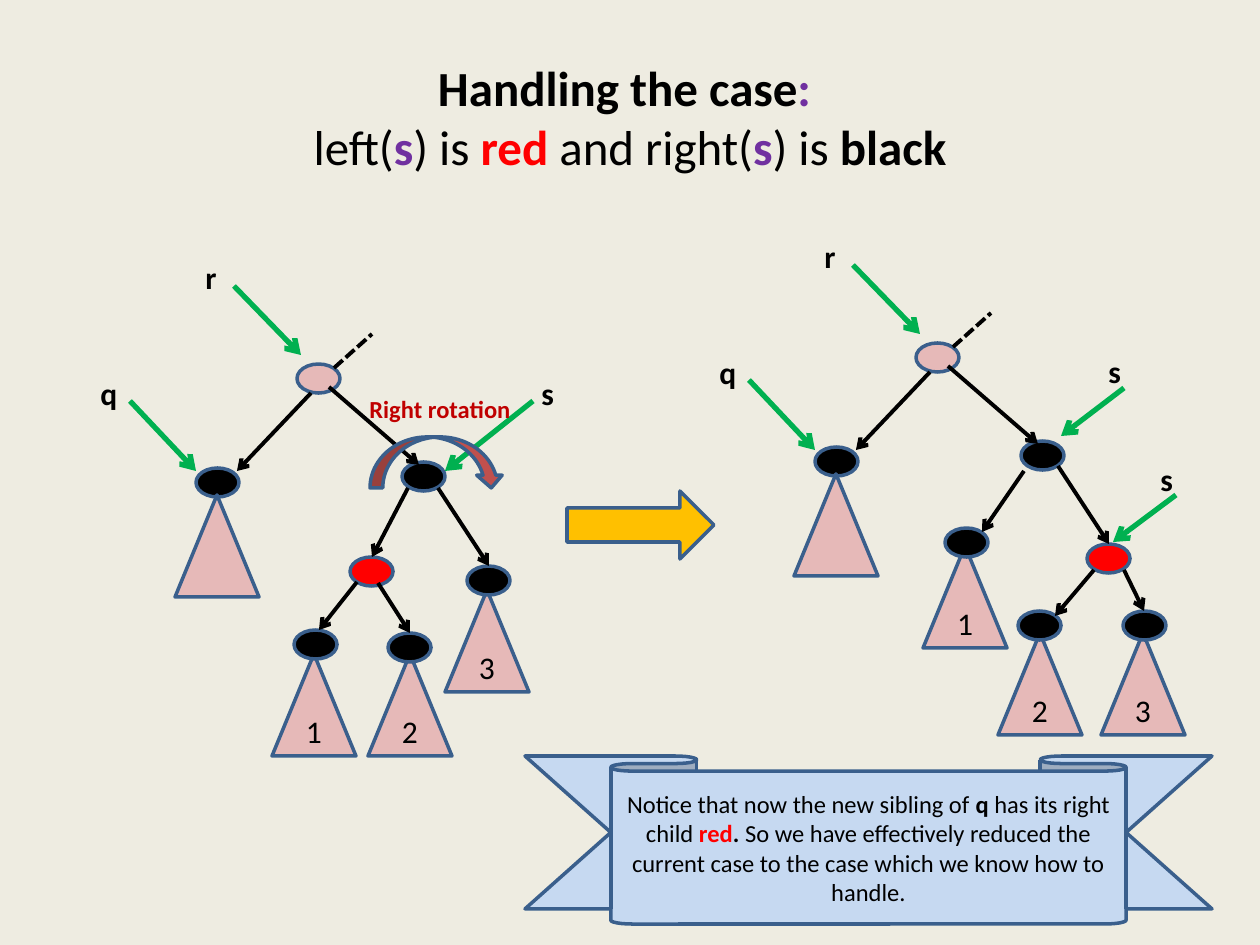
from typing import NamedTuple

from lxml.etree import SubElement
from pptx import Presentation
from pptx.dml.color import RGBColor
from pptx.enum.dml import MSO_LINE
from pptx.enum.shapes import MSO_CONNECTOR, MSO_SHAPE
from pptx.enum.text import MSO_ANCHOR, MSO_AUTO_SIZE, PP_ALIGN
from pptx.oxml.ns import qn
from pptx.util import Emu, Pt

PX_PER_INCH = 126
FONT = "Calibri"

BLACK = RGBColor(0x00, 0x00, 0x00)
RED = RGBColor(0xFF, 0x00, 0x00)
DARK_RED = RGBColor(0xC0, 0x00, 0x00)
BRICK = RGBColor(0xC0, 0x50, 0x4D)
PURPLE = RGBColor(0x70, 0x30, 0xA0)
GREEN = RGBColor(0x00, 0xB0, 0x50)
PINK = RGBColor(0xE6, 0xB9, 0xB8)
AMBER = RGBColor(0xFF, 0xC0, 0x00)
PALE_BLUE = RGBColor(0xC6, 0xD9, 0xF1)
OUTLINE = RGBColor(0x3A, 0x5F, 0x8C)
CREAM = RGBColor(0xEE, 0xEC, 0xE1)


class Node(NamedTuple):
    x: int
    y: int
    color: RGBColor = BLACK


class Subtree(NamedTuple):
    x: int
    y: int
    text: str = ""


class Edge(NamedTuple):
    x1: int
    y1: int
    x2: int
    y2: int


class Pointer(NamedTuple):
    text: str
    x: int
    y: int
    arrow: Edge


class Span(NamedTuple):
    text: str
    color: RGBColor = BLACK
    bold: bool = False


class Tree(NamedTuple):
    dx: int
    dy: int
    subtrees: list[Subtree]
    nodes: list[Node]
    edges: list[Edge]
    pointers: list[Pointer]


def px(n: int) -> Emu:
    return Emu(round(n * 914400 / PX_PER_INCH))


def add_spans(p, spans: list[Span], size: int) -> None:
    for span in spans:
        r = p.add_run()
        r.text = span.text
        r.font.name, r.font.size, r.font.bold = FONT, Pt(size), span.bold
        r.font.color.rgb = span.color


def add_shape(kind, x: int, y: int, w: int, h: int, fill: RGBColor,
              spans: list[Span] = (), size: int = 18):
    sp = slide.shapes.add_shape(kind, px(x), px(y), px(w), px(h))
    sp.shadow.inherit = False
    sp.fill.solid()
    sp.fill.fore_color.rgb = fill
    sp.line.color.rgb = OUTLINE
    sp.line.width = Pt(2)
    if spans:
        tf = sp.text_frame
        tf.word_wrap = True
        tf.vertical_anchor = MSO_ANCHOR.MIDDLE
        tf.paragraphs[0].alignment = PP_ALIGN.CENTER
        add_spans(tf.paragraphs[0], spans, size)
    return sp


def add_label(x: int, y: int, w: int, h: int, span: Span, size: int,
              wrap: bool = False) -> None:
    tf = slide.shapes.add_textbox(px(x), px(y), px(w), px(h)).text_frame
    tf.word_wrap = wrap
    add_spans(tf.paragraphs[0], [span], size)


def add_node(n: Node, dx: int = 0, dy: int = 0) -> None:
    add_shape(MSO_SHAPE.OVAL, n.x + dx, n.y + dy, 43, 29, n.color)


def add_subtree(t: Subtree, dx: int = 0, dy: int = 0) -> None:
    spans = [Span(t.text)] if t.text else []
    add_shape(MSO_SHAPE.ISOSCELES_TRIANGLE, t.x + dx, t.y + dy, 84, 102, PINK, spans)


def add_edge(e: Edge, dx: int = 0, dy: int = 0, color: RGBColor = BLACK,
             width: float = 2.25, dashed: bool = False) -> None:
    c = slide.shapes.add_connector(MSO_CONNECTOR.STRAIGHT, px(e.x1 + dx), px(e.y1 + dy),
                                   px(e.x2 + dx), px(e.y2 + dy))
    c.line.color.rgb = color
    c.line.width = Pt(width)
    if dashed:
        c.line.dash_style = MSO_LINE.SQUARE_DOT
    else:
        SubElement(c.line._get_or_add_ln(), qn("a:tailEnd"), type="arrow")
    SubElement(c._element.spPr, qn("a:effectLst"))


def add_pointer(ptr: Pointer, dx: int = 0, dy: int = 0) -> None:
    add_edge(ptr.arrow, dx, dy, GREEN, 3)
    add_label(ptr.x + dx, ptr.y + dy, 40, 50, Span(ptr.text, bold=True), 18)


# Upper part that both trees share
TOP_NODES = [Node(297, 364, PINK), Node(402, 462), Node(196, 468)]
TOP_EDGES = [Edge(311, 393, 237, 471), Edge(329, 387, 419, 465)]
TOP_POINTERS = [Pointer("q", 88, 368, Edge(130, 401, 196, 471)),
                Pointer("r", 193, 252, Edge(234, 286, 301, 355))]

BEFORE = Tree(
    0, 0,
    [Subtree(272, 654, "1"), Subtree(368, 654, "2"), Subtree(445, 590, "3")],
    [Node(350, 557, RED), Node(294, 630), Node(388, 633), Node(467, 566)],
    [Edge(408, 488, 372, 557), Edge(438, 488, 489, 566),
     Edge(357, 582, 319, 630), Edge(378, 583, 410, 633)],
    [Pointer("s", 529, 368, Edge(533, 401, 445, 471))])

AFTER = Tree(
    619, -21,
    [Subtree(923, 546, "1"), Subtree(998, 633, "2"), Subtree(1101, 633, "3")],
    [Node(1087, 544, RED), Node(945, 528), Node(1018, 611), Node(1123, 611)],
    [Edge(1024, 471, 982, 532), Edge(1058, 466, 1109, 544),
     Edge(1094, 570, 1055, 616), Edge(1124, 570, 1144, 611)],
    [Pointer("s", 1096, 346, Edge(1124, 388, 1061, 436)),
     Pointer("s", 1148, 454, Edge(1176, 495, 1113, 542))])


def draw_tree(tree: Tree) -> None:
    shift = tree.dx, tree.dy
    for n in TOP_NODES:
        add_node(n, *shift)
    add_subtree(Subtree(175, 495), *shift)
    add_edge(Edge(334, 368, 372, 334), *shift, dashed=True)
    for e in TOP_EDGES:
        add_edge(e, *shift)
    for ptr in TOP_POINTERS:
        add_pointer(ptr, *shift)
    for t in tree.subtrees:
        add_subtree(t)
    for n in tree.nodes:
        add_node(n)
    for e in tree.edges:
        add_edge(e)
    for ptr in tree.pointers:
        add_pointer(ptr)


prs = Presentation()
prs.slide_width, prs.slide_height = px(1260), px(945)
slide = prs.slides.add_slide(prs.slide_layouts[5])
slide.background.fill.solid()
slide.background.fill.fore_color.rgb = CREAM

# Title
title = slide.shapes.title
title.left, title.top, title.width, title.height = px(63), px(38), px(1134), px(157)
tf = title.text_frame
tf.auto_size = MSO_AUTO_SIZE.NONE
tf.vertical_anchor = MSO_ANCHOR.MIDDLE
p = tf.paragraphs[0]
p.alignment = PP_ALIGN.CENTER
add_spans(p, [Span("Handling the case", bold=True), Span(": ", PURPLE, True)], 28)
p.add_line_break()
SubElement(p._p[-1], qn("a:rPr"), sz="2800")
add_spans(p, [Span("left("), Span("s", PURPLE, True), Span(") is "),
              Span("red ", RED, True), Span("and right("), Span("s", PURPLE, True),
              Span(") is "), Span("black", bold=True)], 28)

# Trees before and after the rotation
draw_tree(BEFORE)
add_shape(MSO_SHAPE.RIGHT_ARROW, 567, 491, 147, 68, AMBER)
add_shape(MSO_SHAPE.CURVED_DOWN_ARROW, 370, 437, 134, 51, BRICK)
add_label(357, 388, 168, 43, Span("Right rotation", DARK_RED, True), 14, wrap=True)
draw_tree(AFTER)

# Conclusion ribbon
ribbon = add_shape(MSO_SHAPE.DOWN_RIBBON, 525, 756, 687, 168, PALE_BLUE, [
    Span("Notice that now the new sibling of "), Span("q", bold=True),
    Span(" has its right child "), Span("red", RED, True), Span(". ", bold=True),
    Span("So we have effectively reduced the current case to the case "
         "which we know how to handle.")], 14)
ribbon.adjustments[0], ribbon.adjustments[1] = 0.09, 0.75

prs.save("out.pptx")
